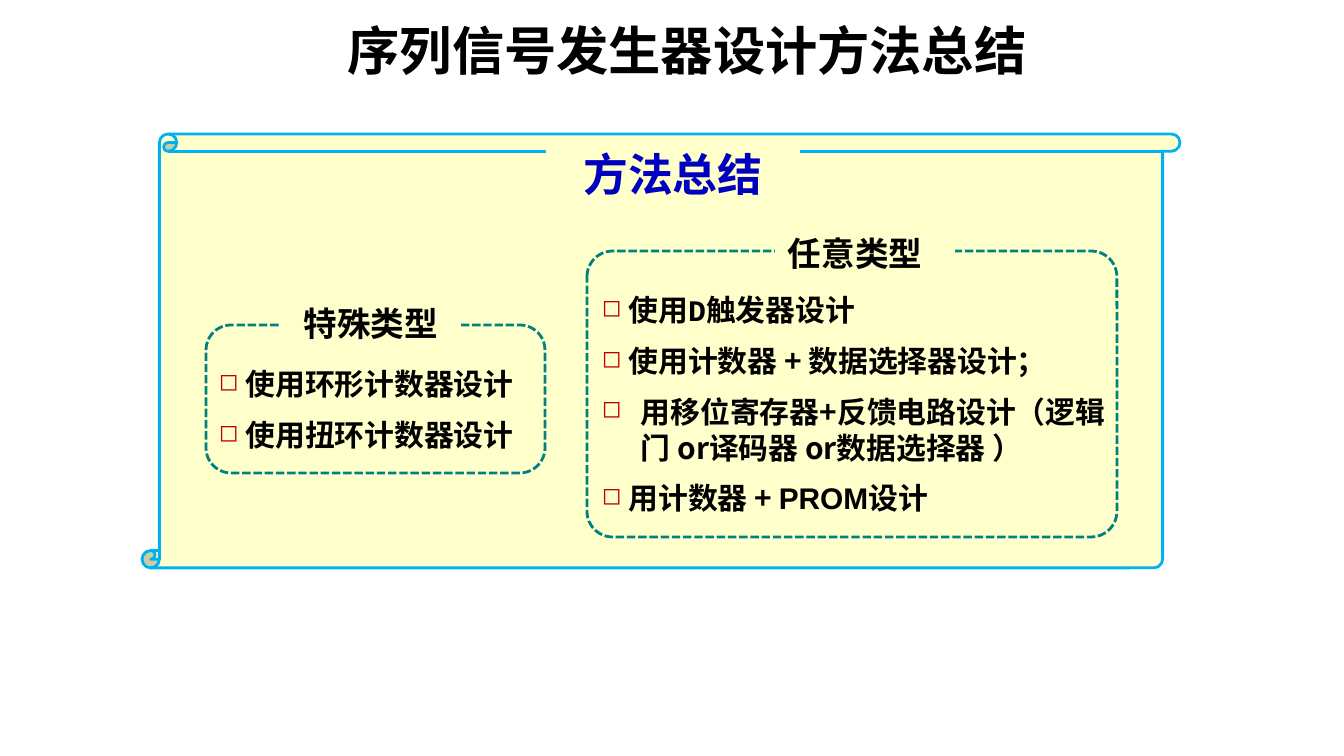
from dataclasses import dataclass

from lxml.etree import SubElement
from pptx import Presentation
from pptx.dml.color import RGBColor as RGB
from pptx.enum.dml import MSO_LINE as Dash
from pptx.enum.shapes import MSO_SHAPE as Shape
from pptx.enum.text import MSO_ANCHOR as Anchor, MSO_AUTO_SIZE as AutoSize, PP_ALIGN as Align
from pptx.oxml.ns import qn
from pptx.util import Emu, Pt


@dataclass(frozen=True)
class Theme:
    """Colours, fonts and type sizes of the slide."""
    paper: RGB = RGB(0xFF, 0xFF, 0xCC)
    edge: RGB = RGB(0x00, 0xB0, 0xF0)
    frame: RGB = RGB(0x00, 0x80, 0x80)
    heading: RGB = RGB(0x00, 0x00, 0xBF)
    ink: RGB = RGB(0, 0, 0)
    bullet: str = "C00000"
    font: str = "Noto Sans CJK SC"
    mono: str = "Courier New"
    latin: str = "Arial"
    title_pt: int = 28
    heading_pt: int = 24
    label_pt: int = 18
    item_pt: int = 16


T = Theme()
SCALE = 914400 / 134.4
HANG = 39
SPECIAL = [[" 使用环形计数器设计"], [" 使用扭环计数器设计"]]
GENERAL = [
    [" 使用", ("D", T.mono), "触发器设计"],
    [" 使用计数器 + 数据选择器设计；"],
    ["用移位寄存器+反馈电路设计（逻辑门 or译码器 or数据选择器 ）"],
    [" 用计数器 + ", ("PROM", T.latin), "设计"],
]


def px(n):
    """Turn pixels into EMU."""
    return Emu(round(n * SCALE))


def box(*lengths):
    """Turn left, top, width and height into EMU."""
    return [px(n) for n in lengths]


def set_frame(tf):
    """Give a text frame its wrapping, anchor and insets."""
    tf.word_wrap = True
    tf.auto_size = AutoSize.NONE
    tf.vertical_anchor = Anchor.TOP
    tf.margin_left = tf.margin_right = px(13)
    tf.margin_top, tf.margin_bottom = px(10), px(7)


def style_run(r, size, color, font=T.font):
    """Format one run, for Chinese and Latin letters alike."""
    r.font.size, r.font.bold, r.font.name = Pt(size), True, font
    r.font.color.rgb = color
    SubElement(r.font._element, qn("a:ea"), typeface=T.font)


def write_line(sp, text, size, color, align=Align.CENTER):
    """Write a single line of text into a shape."""
    tf = sp.text_frame
    set_frame(tf)
    tf.text = text
    p = tf.paragraphs[0]
    p.alignment, p.line_spacing = align, Pt(size * 1.2)
    style_run(p.runs[0], size, color)


def add_bullet(p, hang=0):
    """Give a paragraph a small square bullet and a hanging indent."""
    pPr = p._p.get_or_add_pPr()
    pPr.set("marL", str(px(hang)))
    pPr.set("indent", str(-px(hang)))
    color = SubElement(pPr, qn("a:buClr"))
    SubElement(color, qn("a:srgbClr"), val=T.bullet)
    SubElement(pPr, qn("a:buSzPct"), val="80000")
    SubElement(pPr, qn("a:buChar"), char="◻")


def add_patch(shapes, pos, text, size, color, align=Align.CENTER):
    """Add a paper-coloured rectangle that carries a caption."""
    sp = shapes.add_shape(Shape.RECTANGLE, *box(*pos))
    sp.shadow.inherit = False
    sp.fill.solid()
    sp.fill.fore_color.rgb = T.paper
    sp.line.fill.background()
    write_line(sp, text, size, color, align)


def add_outline(shapes, kind, pos, adj, color):
    """Add an unfilled preset shape with a coloured outline."""
    sp = shapes.add_shape(kind, *box(*pos))
    sp.shadow.inherit = False
    sp.adjustments[0] = adj
    sp.fill.background()
    sp.line.color.rgb, sp.line.width = color, Pt(1.5)
    return sp


def add_items(shapes, pos, items):
    """Add a bulleted list whose items are lists of runs."""
    tf = shapes.add_textbox(*box(*pos)).text_frame
    set_frame(tf)
    for i, parts in enumerate(items):
        p = tf.add_paragraph() if i else tf.paragraphs[0]
        p.line_spacing = Pt(T.item_pt * 1.2)
        p.space_before = Pt(T.item_pt / 2 if i else 0)
        add_bullet(p, 0 if parts[0].startswith(" ") else HANG)
        for part in parts:
            text, font = (part, T.font) if isinstance(part, str) else part
            r = p.add_run()
            r.text = text
            style_run(r, T.item_pt, T.ink, font)


def add_panel(s, frame, adj, label, caption, align, body, items):
    """Add a group of list, dashed frame and caption."""
    shapes = s.shapes.add_group_shape().shapes
    add_items(shapes, body, items)
    sp = add_outline(shapes, Shape.ROUNDED_RECTANGLE, frame, adj, T.frame)
    sp.line.dash_style = Dash.SQUARE_DOT
    add_patch(shapes, label, caption, T.label_pt, T.ink, align)


def main():
    """Build the slide and save it."""
    prs = Presentation()
    prs.slide_width, prs.slide_height = px(1344), px(756)
    s = prs.slides.add_slide(prs.slide_layouts[5])

    title = s.shapes.title
    title.left, title.top, title.width, title.height = box(290, 8, 794, 76)
    write_line(title, "序列信号发生器设计方法总结", T.title_pt, T.ink)

    scroll = add_outline(s.shapes, Shape.VERTICAL_SCROLL, (142, 134, 1038, 434), 0.04, T.edge)
    scroll.fill.solid()
    scroll.fill.fore_color.rgb = T.paper
    add_patch(s.shapes, (546, 137, 254, 69), "方法总结", T.heading_pt, T.heading)

    add_panel(s, (206, 325, 339, 148), 0.17, (281, 293, 180, 54), "特殊类型",
              Align.CENTER, (206, 356, 349, 104), SPECIAL)
    add_panel(s, (587, 251, 530, 286), 0.09, (775, 223, 180, 54), "任意类型",
              Align.LEFT, (589, 282, 530, 249), GENERAL)
    prs.save("out.pptx")


if __name__ == "__main__":
    main()
